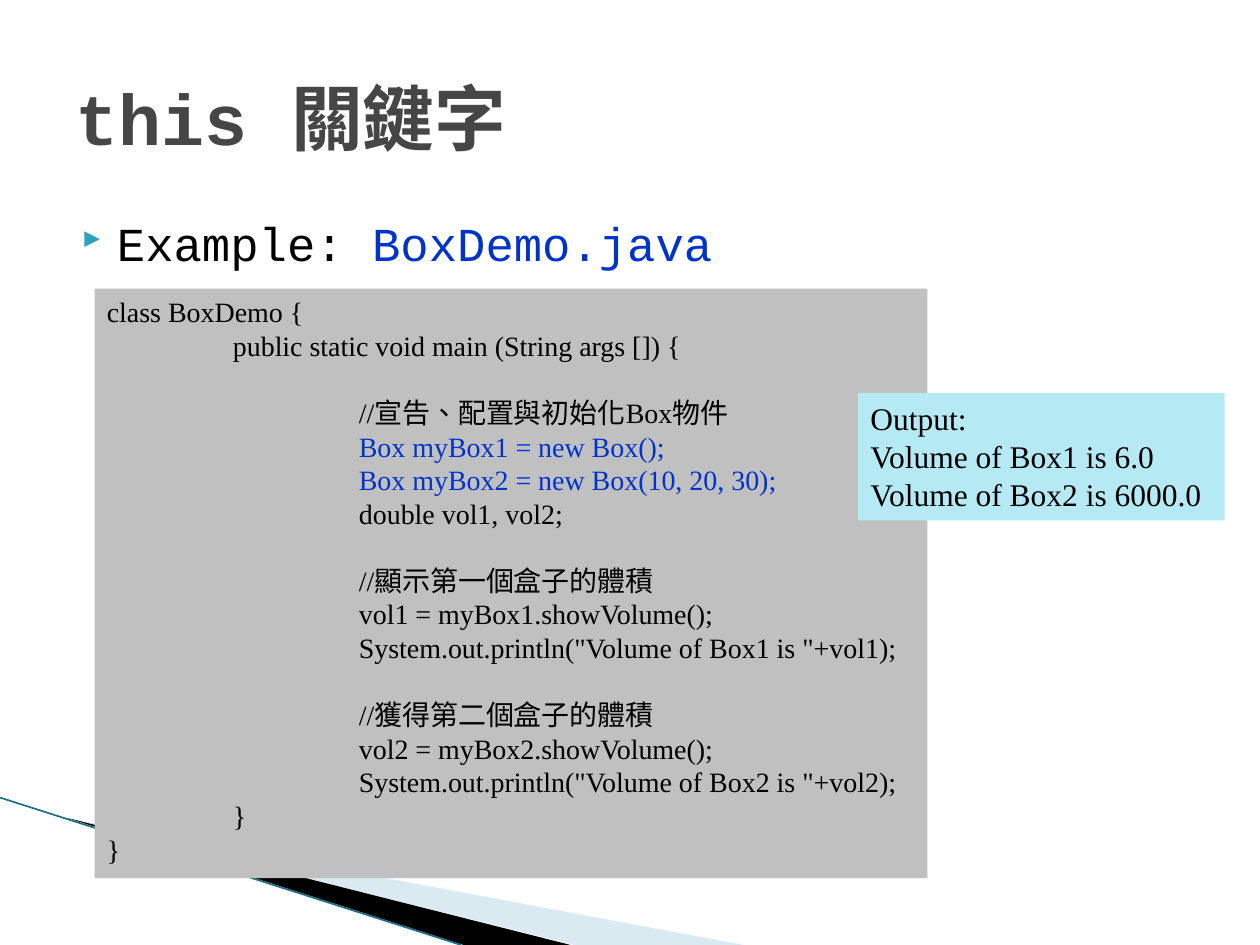
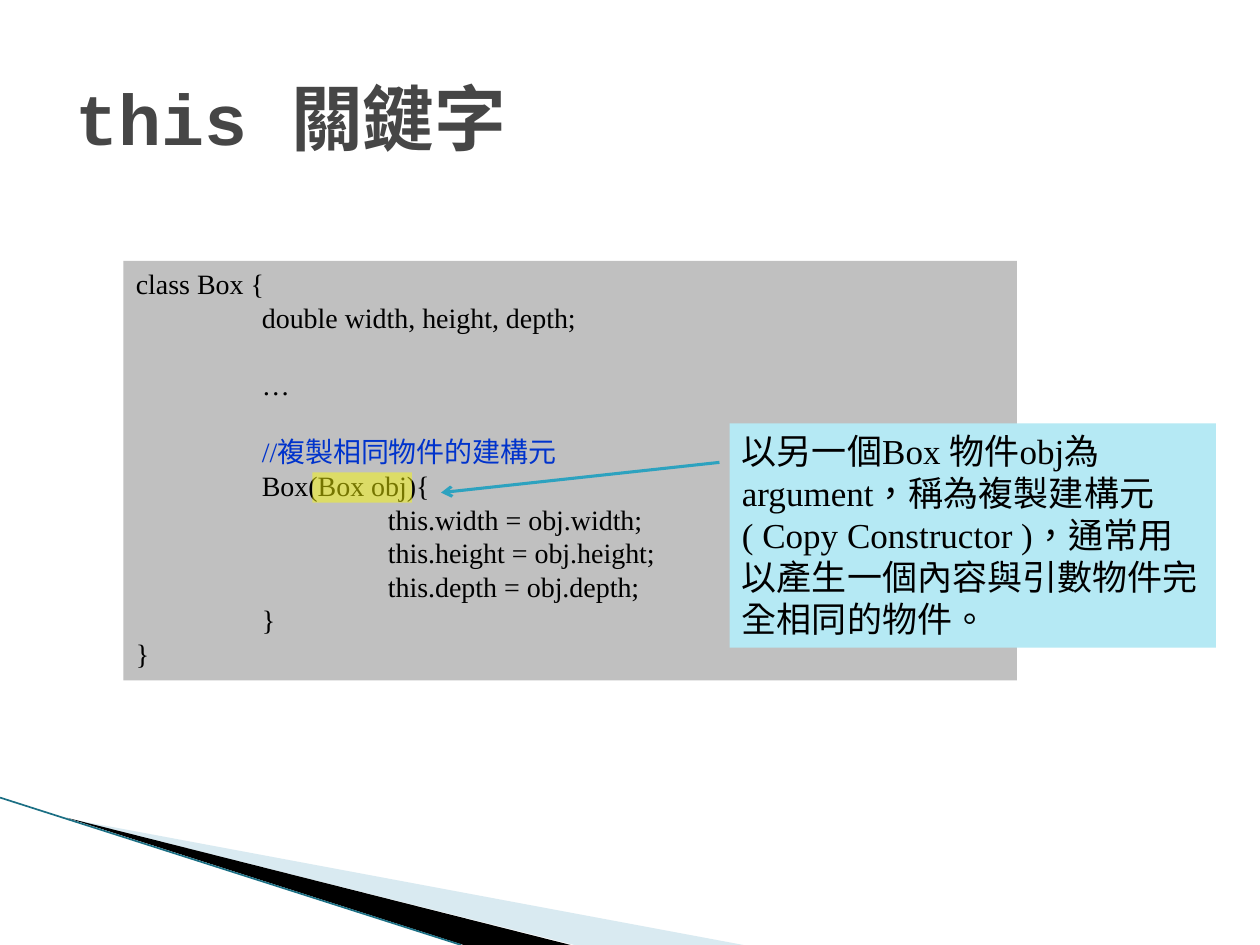
"""Build two slides on the this keyword, with code panels and callouts."""
import pptx
import pptx.util
import pptx.dml.color
import pptx.enum.lang
import pptx.enum.shapes
import pptx.enum.text
import pptx.oxml.ns
import lxml.etree

COLORS = {
    "title": "464646", "text": "000000", "accent": "0033CC", "bullet": "2DA2BF",
    "code": "C0C0C0", "callout": "B5E9F4", "marker": "FFFF00",
    "pale": "A0CBDC", "dark": "000000", "edge": "1B6F84",
}
CODE_FONT, TITLE_FONT = "Times New Roman", "Courier New"
CODE_SIZE, CODE_PITCH, TAB_WIDTH = 16, 19.2, 1
TITLE = "this 關鍵字"
TITLE_AREA = (0.5, 0.3, 9, 1.25)
BANDS = [
    ("pale", 40, [(0.55, 6.5), (5.9, 7.5), (4.56, 7.5)]),
    ("dark", 100, [(0.53, 6.49), (4.53, 7.5), (3.68, 7.5)]),
]
EDGE = ((0, 6.33), (3.66, 7.5))

DEMO_CODE = [
    (0, 0, "text", "class BoxDemo {"),
    (1, 0, "text", "public static void main (String args []) {"),
    (2, 1, "text", "//宣告、配置與初始化Box物件"),
    (2, 0, "accent", "Box myBox1 = new Box();"),
    (2, 0, "accent", "Box myBox2 = new Box(10, 20, 30);"),
    (2, 0, "text", "double vol1, vol2;"),
    (2, 1, "text", "//顯示第一個盒子的體積"),
    (2, 0, "text", "vol1 = myBox1.showVolume();"),
    (2, 0, "text", 'System.out.println("Volume of Box1 is "+vol1);'),
    (2, 1, "text", "//獲得第二個盒子的體積"),
    (2, 0, "text", "vol2 = myBox2.showVolume();"),
    (2, 0, "text", 'System.out.println("Volume of Box2 is "+vol2);'),
    (1, 0, "text", "}"),
    (0, 0, "text", "}"),
]
COPY_CODE = [
    (0, 0, "text", "class Box {"),
    (1, 0, "text", "double width, height, depth;"),
    (1, 1, "text", "…"),
    (1, 1, "accent", "//複製相同物件的建構元"),
    (1, 0, "text", "Box(Box obj){"),
    (2, 0, "text", "this.width = obj.width;"),
    (2, 0, "text", "this.height = obj.height;"),
    (2, 0, "text", "this.depth = obj.depth;"),
    (1, 0, "text", "}"),
    (0, 0, "text", "}"),
]
OUTPUT = ["Output:", "Volume of Box1 is 6.0", "Volume of Box2 is 6000.0"]
REMARK = ["以另一個Box 物件obj為argument，稱為複製建構元"
          "( Copy Constructor )，通常用以產生一個內容與引數物件完全相同的物件。"]
EXAMPLE = [("Example: ", "text"), ("BoxDemo.java", "accent")]


def inches(values):
    return [pptx.util.Inches(value) for value in values]


def rgb(name):
    return pptx.dml.color.RGBColor.from_string(COLORS[name])


def add_xml(parent, tag, **attributes):
    return lxml.etree.SubElement(parent, pptx.oxml.ns.qn(tag), attributes)


def paint(shape, color, opacity=100):
    shape.shadow.inherit = False
    shape.line.fill.background()
    shape.fill.solid()
    shape.fill.fore_color.rgb = rgb(color)
    if opacity < 100:
        swatch = shape.element.spPr.find(".//" + pptx.oxml.ns.qn("a:srgbClr"))
        add_xml(swatch, "a:alpha", val=str(opacity * 1000))


def set_font(font, name, size, color, bold=False):
    font.name, font.size, font.bold = name, pptx.util.Pt(size), bold
    font.color.rgb = rgb(color)


def add_rectangle(page, area, color, opacity=100):
    box = page.shapes.add_shape(pptx.enum.shapes.MSO_SHAPE.RECTANGLE, *inches(area))
    paint(box, color, opacity)
    return box


def add_panel(page, area, fill, size, lines):
    frame = add_rectangle(page, area, fill).text_frame
    frame.word_wrap = True
    frame.vertical_anchor = pptx.enum.text.MSO_ANCHOR.TOP
    for index, (depth, gaps, color, wording) in enumerate(lines):
        para = frame.add_paragraph() if index else frame.paragraphs[0]
        para.alignment = pptx.enum.text.PP_ALIGN.LEFT
        para.space_before = pptx.util.Pt(gaps * CODE_PITCH)
        para._p.get_or_add_pPr().set("defTabSz", str(pptx.util.Inches(TAB_WIDTH)))
        span = para.add_run()
        span.text = "\t" * depth + wording
        span.font.language_id = pptx.enum.lang.MSO_LANGUAGE_ID.TRADITIONAL_CHINESE
        set_font(para.font, CODE_FONT, size, color)


def add_callout(page, area, size, lines):
    add_panel(page, area, "callout", size, [(0, 0, "text", line) for line in lines])


def add_line(page, start, end, color, width):
    line = page.shapes.add_connector(
        pptx.enum.shapes.MSO_CONNECTOR.STRAIGHT, *inches(start + end))
    line.line.color.rgb = rgb(color)
    line.line.width = pptx.util.Pt(width)
    add_xml(line.element.spPr, "a:effectLst")
    return line


def add_page(deck):
    page = deck.slides.add_slide(deck.slide_layouts.get_by_name("Title Only"))
    for color, opacity, points in BANDS:
        corners = [inches(point) for point in points]
        builder = page.shapes.build_freeform(*corners[0], scale=1.0)
        builder.add_line_segments(corners[1:], close=True)
        paint(builder.convert_to_shape(), color, opacity)
    add_line(page, *EDGE, "edge", 0.95)
    title = page.shapes.title
    title.left, title.top, title.width, title.height = inches(TITLE_AREA)
    frame = title.text_frame
    frame.text = TITLE
    frame.auto_size = pptx.enum.text.MSO_AUTO_SIZE.NONE
    frame.vertical_anchor = pptx.enum.text.MSO_ANCHOR.MIDDLE
    para = frame.paragraphs[0]
    para.alignment = pptx.enum.text.PP_ALIGN.LEFT
    set_font(para.font, TITLE_FONT, 41, "title", True)
    return page


def add_bullet(page, area, spans):
    frame = page.shapes.add_textbox(*inches(area)).text_frame
    frame.word_wrap = True
    para = frame.paragraphs[0]
    para.line_spacing = 0.9
    para.space_before = pptx.util.Pt(4)
    for wording, color in spans:
        span = para.add_run()
        span.text = wording
        set_font(span.font, TITLE_FONT, 27, color)
    margins = para._p.get_or_add_pPr()
    margins.set("marL", str(pptx.util.Inches(0.4)))
    margins.set("indent", str(pptx.util.Inches(-0.28)))
    add_xml(add_xml(margins, "a:buClr"), "a:srgbClr", val=COLORS["bullet"])
    add_xml(margins, "a:buSzPct", val="68000")
    add_xml(margins, "a:buFont", typeface="Wingdings 3", charset="2")
    add_xml(margins, "a:buChar", char="}")


deck = pptx.Presentation()
deck.slide_width, deck.slide_height = inches((10, 7.5))

demo = add_page(deck)
add_bullet(demo, (0.43, 1.7, 9.32, 0.55), EXAMPLE)
add_panel(demo, (0.75, 2.29, 6.61, 4.68), "code", CODE_SIZE, DEMO_CODE)
add_callout(demo, (6.81, 3.12, 2.91, 1.01), 18, OUTPUT)

duplicate = add_page(deck)
add_panel(duplicate, (0.98, 2.07, 7.09, 3.33), "code", CODE_SIZE, COPY_CODE)
add_callout(duplicate, (5.79, 3.36, 3.86, 1.78), 20, REMARK)
add_rectangle(duplicate, (2.48, 3.75, 0.79, 0.24), "marker", 46)
arrow = add_line(duplicate, (5.71, 3.67), (3.5, 3.91), "bullet", 1.75)
add_xml(arrow.line._get_or_add_ln(), "a:tailEnd", type="arrow")

deck.save("out.pptx")
